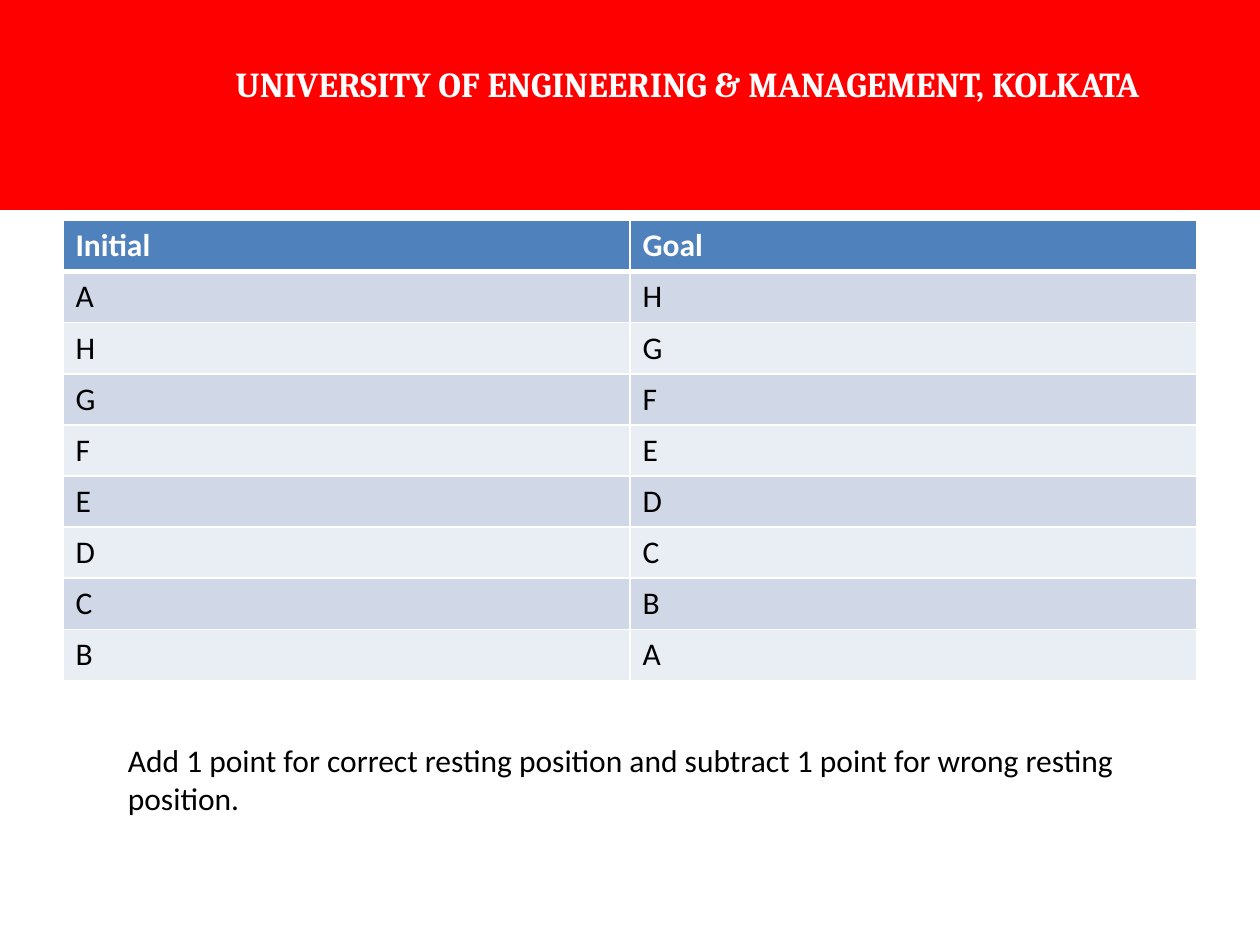
from lxml import etree
from pptx import Presentation
from pptx.dml.color import RGBColor
from pptx.enum.text import PP_ALIGN
from pptx.oxml.ns import qn
from pptx.util import Pt

LEFT, CENTER = PP_ALIGN.LEFT, PP_ALIGN.CENTER
BLANK_LAYOUT = 6
PLAIN_TABLE_STYLE = "{2D5ABB26-0587-4C30-8999-92F81FD0307C}"
RED, BLUE, WHITE, BLACK = "FF0000", "4F81BD", "FFFFFF", "000000"
BANDS = ["E9EDF4", "D0D8E8"]


def color(hex_string):
    return RGBColor.from_string(hex_string)


def write(text_frame, text, font="Calibri", size=18, ink=BLACK, bold=False, align=LEFT):
    text_frame.word_wrap = True
    paragraph = text_frame.paragraphs[0]
    paragraph.alignment = align
    run = paragraph.add_run()
    run.text = text
    run.font.name = font
    run.font.size = Pt(size)
    run.font.bold = bold
    run.font.color.rgb = color(ink)


presentation = Presentation()
presentation.slide_width, presentation.slide_height = Pt(720), Pt(540)
slide = presentation.slides.add_slide(presentation.slide_layouts[BLANK_LAYOUT])

# Red banner
banner = slide.shapes.add_table(3, 3, 0, 0, Pt(720), Pt(120)).table
for column, width in zip(banner.columns, [84, 618, 18]):
    column.width = Pt(width)
for row, height in zip(banner.rows, [34, 46, 40]):
    row.height = Pt(height)
for cell in banner.iter_cells():
    cell.fill.solid()
    cell.fill.fore_color.rgb = color(RED)
banner.cell(0, 0).merge(banner.cell(0, 1))
banner.cell(1, 0).merge(banner.cell(2, 0))
banner.cell(2, 1).merge(banner.cell(2, 2))
write(banner.cell(1, 1).text_frame, "UNIVERSITY OF ENGINEERING & MANAGEMENT, KOLKATA",
      font="Cambria", size=20, ink=WHITE, bold=True, align=CENTER)

# Initial and goal states
states = [("Initial", "Goal"), *zip("AHGFEDCB", "HGFEDCBA")]
state_table = slide.shapes.add_table(len(states), 2, Pt(36), Pt(126), Pt(648), Pt(262.8)).table
for row_index, values in enumerate(states):
    is_header = row_index == 0
    state_table.rows[row_index].height = Pt(29.2)
    for column_index, value in enumerate(values):
        cell = state_table.cell(row_index, column_index)
        write(cell.text_frame, value, ink=WHITE if is_header else BLACK, bold=is_header)
        border_widths = {"a:lnL": 1, "a:lnR": 1,
                         "a:lnT": 3 if row_index == 1 else 1,
                         "a:lnB": 3 if is_header else 1}
        cell_properties = cell._tc.get_or_add_tcPr()
        for tag, width in border_widths.items():
            line = etree.SubElement(cell_properties, qn(tag), w=str(Pt(width)))
            line_fill = etree.SubElement(line, qn("a:solidFill"))
            etree.SubElement(line_fill, qn("a:srgbClr"), val=WHITE)
        cell.fill.solid()
        cell.fill.fore_color.rgb = color(BLUE if is_header else BANDS[row_index % 2])

for table in (banner, state_table):
    table._tbl.tblPr.find(qn("a:tableStyleId")).text = PLAIN_TABLE_STYLE

# Scoring rule
scoring_box = slide.shapes.add_textbox(Pt(66), Pt(420), Pt(600), Pt(51))
write(scoring_box.text_frame,
      "Add 1 point for correct resting position and subtract 1 point for wrong resting position.")

presentation.save("out.pptx")
